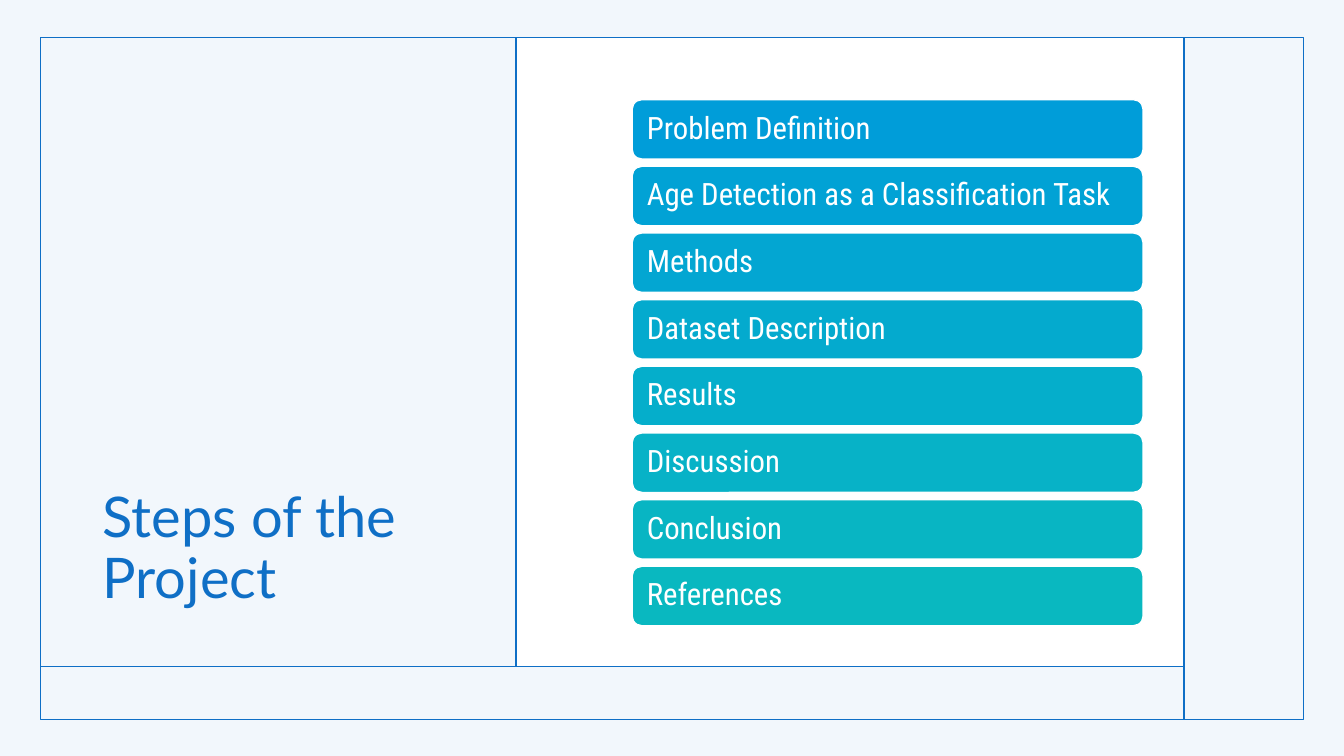
from lxml import etree
from pptx import Presentation
from pptx.dml.color import RGBColor
from pptx.enum.shapes import MSO_CONNECTOR, MSO_SHAPE
from pptx.enum.text import MSO_ANCHOR, PP_ALIGN
from pptx.oxml.ns import qn
from pptx.util import Cm, Pt

RECT, ROUND = MSO_SHAPE.RECTANGLE, MSO_SHAPE.ROUNDED_RECTANGLE
STRAIGHT = MSO_CONNECTOR.STRAIGHT
MIDDLE, BOTTOM = MSO_ANCHOR.MIDDLE, MSO_ANCHOR.BOTTOM
LEFT = PP_ALIGN.LEFT

WHITE = RGBColor(0xFF, 0xFF, 0xFF)
BLUE = RGBColor(0x0F, 0x6F, 0xC6)
STEP_1 = RGBColor(0x00, 0x9D, 0xD9)
STEP_2 = RGBColor(0x01, 0xA2, 0xD5)
STEP_3 = RGBColor(0x03, 0xA6, 0xD2)
STEP_4 = RGBColor(0x04, 0xAA, 0xCE)
STEP_5 = RGBColor(0x05, 0xAE, 0xCB)
STEP_6 = RGBColor(0x07, 0xB2, 0xC7)
STEP_7 = RGBColor(0x08, 0xB5, 0xC3)
STEP_8 = RGBColor(0x09, 0xB8, 0xC0)

WIDTH, HEIGHT = 33.87, 19.05
FRAME_LEFT, FRAME_TOP, FRAME_WIDTH, FRAME_HEIGHT = 1.02, 0.94, 31.83, 17.19
PANEL_LEFT, PANEL_RIGHT, PANEL_BOTTOM = 13.0, 29.84, 16.79
BAR_LEFT, BAR_TOP, BAR_WIDTH, BAR_HEIGHT, BAR_PITCH = 15.93, 2.51, 12.88, 1.5, 1.68

STEPS = [
    ("Problem Definition", STEP_1),
    ("Age Detection as a Classification Task", STEP_2),
    ("Methods", STEP_3),
    ("Dataset Description", STEP_4),
    ("Results", STEP_5),
    ("Discussion", STEP_6),
    ("Conclusion", STEP_7),
    ("References", STEP_8),
]


class Deck:
    """Holds the text styles and the current slide."""

    title = {"name": "Lato", "size": Pt(40)}
    step = {"name": "Roboto Condensed", "size": Pt(22)}

    def __init__(self, prs):
        self.s = prs.slides.add_slide(prs.slide_layouts[6])

    def shape(self, kind, x, y, w, h, fill=None, line=None, alpha=None):
        sp = self.s.shapes.add_shape(kind, Cm(x), Cm(y), Cm(w), Cm(h))
        sp.shadow.inherit = False
        if fill is None:
            sp.fill.background()
        else:
            sp.fill.solid()
            sp.fill.fore_color.rgb = fill
        if alpha is not None:
            color = sp.fill._xPr.find(qn("a:solidFill"))[0]
            etree.SubElement(color, qn("a:alpha")).set("val", str(alpha * 1000))
        if line is None:
            sp.line.fill.background()
        else:
            sp.line.color.rgb = line
            sp.line.width = Pt(1)
        return sp

    def line(self, x1, y1, x2, y2):
        c = self.s.shapes.add_connector(STRAIGHT, Cm(x1), Cm(y1), Cm(x2), Cm(y2))
        c.line.color.rgb = BLUE
        c.line.width = Pt(1)
        etree.SubElement(c._element.spPr, qn("a:effectLst"))

    def text(self, sp, text, style, color, anchor, inset=0.25):
        tf = sp.text_frame
        frame = {"word_wrap": True, "vertical_anchor": anchor,
                 "margin_left": Cm(inset), "margin_right": Cm(inset)}
        for key, value in frame.items():
            setattr(tf, key, value)
        p = tf.paragraphs[0]
        p.alignment = LEFT
        p.line_spacing = 0.9
        r = p.add_run()
        r.text = text
        for key, value in style.items():
            setattr(r.font, key, value)
        r.font.color.rgb = color

    def heading(self, x, y, w, h, text):
        sp = self.s.shapes.add_textbox(Cm(x), Cm(y), Cm(w), Cm(h))
        self.text(sp, text, self.title, BLUE, BOTTOM)

    def bar(self, y, text, fill):
        sp = self.shape(ROUND, BAR_LEFT, y, BAR_WIDTH, BAR_HEIGHT, fill, WHITE)
        self.text(sp, text, self.step, WHITE, MIDDLE, inset=0.3)


def main():
    prs = Presentation()
    prs.slide_width, prs.slide_height = Cm(WIDTH), Cm(HEIGHT)
    deck = Deck(prs)

    # Tinted background, white panel and outer frame
    deck.shape(RECT, 0, 0, WIDTH, HEIGHT, WHITE)
    deck.shape(RECT, 0, 0, WIDTH, HEIGHT, BLUE, alpha=5)
    deck.shape(RECT, PANEL_LEFT, FRAME_TOP, PANEL_RIGHT - PANEL_LEFT,
               PANEL_BOTTOM - FRAME_TOP, WHITE)
    deck.shape(RECT, FRAME_LEFT, FRAME_TOP, FRAME_WIDTH, FRAME_HEIGHT, line=BLUE)

    # Title
    deck.heading(2.34, 2.34, 9.5, 13.16, "Steps of the Project")

    # Dividing lines
    deck.line(PANEL_LEFT, FRAME_TOP, PANEL_LEFT, PANEL_BOTTOM)
    deck.line(PANEL_RIGHT, FRAME_TOP, PANEL_RIGHT, FRAME_TOP + FRAME_HEIGHT)
    deck.line(FRAME_LEFT, PANEL_BOTTOM, PANEL_RIGHT, PANEL_BOTTOM)

    # Step bars
    for i, (text, fill) in enumerate(STEPS):
        deck.bar(BAR_TOP + i * BAR_PITCH, text, fill)

    prs.save("out.pptx")


if __name__ == "__main__":
    main()
